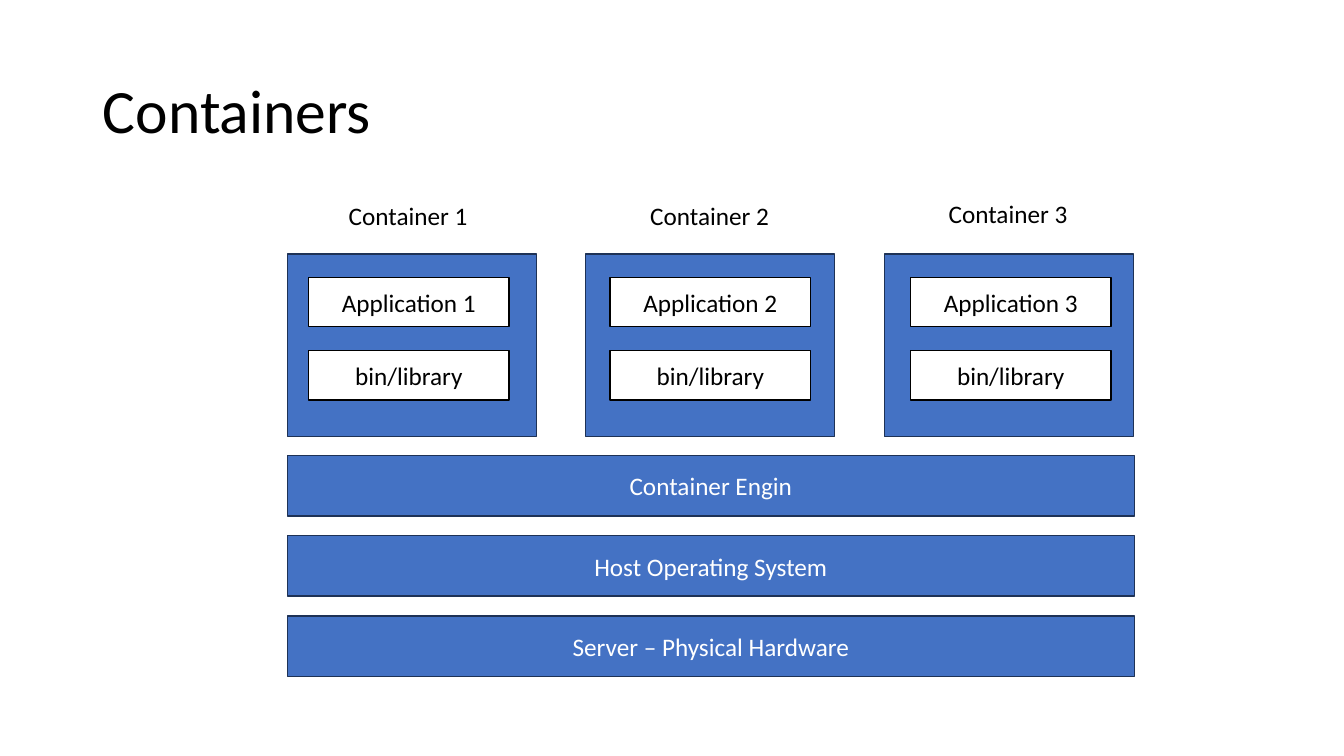
from pptx import Presentation
from pptx import util as u
from pptx.dml.color import RGBColor
from pptx.enum import shapes, text

BLUE = RGBColor(0x44, 0x72, 0xC4)
NAVY = RGBColor(0x1E, 0x32, 0x56)
WHITE = RGBColor(0xFF, 0xFF, 0xFF)
BLACK = RGBColor(0, 0, 0)


def write(frame, words, size=18, color=BLACK, align=text.PP_ALIGN.LEFT,
          anchor=text.MSO_ANCHOR.MIDDLE, wrap=True, space=1.0,
          fit=text.MSO_AUTO_SIZE.NONE):
    frame.word_wrap = wrap
    frame.auto_size = fit
    frame.vertical_anchor = anchor
    para = frame.paragraphs[0]
    para.alignment = align
    para.line_spacing = space
    run = para.add_run()
    run.text = words
    run.font.name = "Calibri"
    run.font.size = u.Pt(size)
    run.font.color.rgb = color


def block(slide, left, top, width, height, words="", fill=BLUE, line=NAVY, color=WHITE):
    shape = slide.shapes.add_shape(
        shapes.MSO_SHAPE.RECTANGLE,
        u.Inches(left), u.Inches(top), u.Inches(width), u.Inches(height))
    shape.shadow.inherit = False
    shape.fill.solid()
    shape.fill.fore_color.rgb = fill
    shape.line.color.rgb = line
    shape.line.width = u.Pt(1)
    if words:
        write(shape.text_frame, words, color=color, align=text.PP_ALIGN.CENTER)


def label(slide, left, top, words):
    box = slide.shapes.add_textbox(
        u.Inches(left), u.Inches(top), u.Inches(1.39), u.Inches(0.4))
    write(box.text_frame, words, wrap=False, anchor=text.MSO_ANCHOR.TOP,
          fit=text.MSO_AUTO_SIZE.SHAPE_TO_FIT_TEXT)


def heading(slide, left, top, width, height):
    title = slide.shapes.title
    title.left, title.top = u.Inches(left), u.Inches(top)
    title.width, title.height = u.Inches(width), u.Inches(height)
    write(title.text_frame, "Containers", size=44, space=0.9)


def container(slide, left, top, number, inset, label_x, label_y):
    block(slide, left, top, 2.47, 1.81)
    for row, words in enumerate((f"Application {number}", "bin/library")):
        block(slide, left + inset, top + 0.23 + 0.73 * row, 1.99, 0.49,
              words, fill=WHITE, line=BLACK, color=BLACK)
    label(slide, left + label_x, top - label_y, f"Container {number}")


def layers(slide, left, top, width):
    names = ("Container Engin", "Host Operating System", "Server – Physical Hardware")
    for row, words in enumerate(names):
        block(slide, left, top + 0.795 * row, width, 0.6, words)


def main():
    deck = Presentation()
    deck.slide_width, deck.slide_height = u.Inches(13.33), u.Inches(7.5)
    slide = deck.slides.add_slide(deck.slide_layouts[5])
    heading(slide, 0.92, 0.4, 11.5, 1.45)
    offsets = ((0.21, 0.51, 0.58), (0.24, 0.54, 0.58), (0.26, 0.54, 0.6))
    for index, (inset, label_x, label_y) in enumerate(offsets):
        container(slide, 2.85 + 2.96 * index, 2.52, index + 1, inset, label_x, label_y)
    layers(slide, 2.85, 4.52, 8.4)
    deck.save("out.pptx")


if __name__ == "__main__":
    main()
